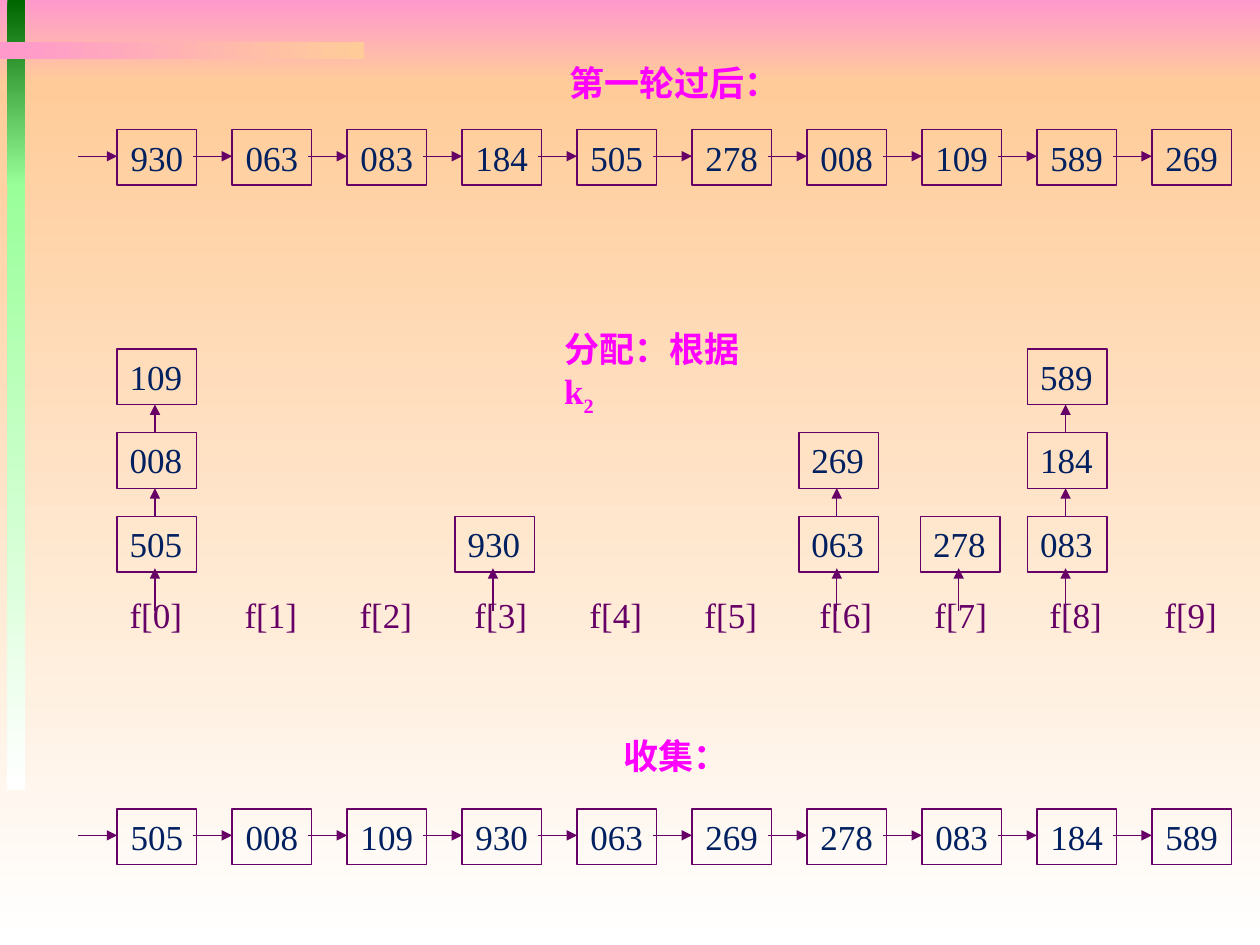
from lxml import etree
from pptx import Presentation
from pptx.dml.color import RGBColor
from pptx.enum.shapes import MSO_CONNECTOR, MSO_SHAPE
from pptx.enum.text import MSO_ANCHOR, PP_ALIGN
from pptx.oxml.ns import qn
from pptx.util import Inches, Pt

RECTANGLE = MSO_SHAPE.RECTANGLE
STRAIGHT = MSO_CONNECTOR.STRAIGHT
TOP, MIDDLE = MSO_ANCHOR.TOP, MSO_ANCHOR.MIDDLE
LEFT, CENTER = PP_ALIGN.LEFT, PP_ALIGN.CENTER

PINK = RGBColor(0xFF, 0x99, 0xCC)
PEACH = RGBColor(0xFF, 0xCC, 0x99)
WHITE = RGBColor(0xFF, 0xFF, 0xFF)
DARK_GREEN = RGBColor(0x00, 0x66, 0x00)
LIGHT_GREEN = RGBColor(0x99, 0xFF, 0x99)
PURPLE = RGBColor(0x66, 0x00, 0x66)
NAVY = RGBColor(0x00, 0x20, 0x60)
MAGENTA = RGBColor(0xFF, 0x00, 0xFF)

# Grid of ten buckets, in inches
GRID_LEFT, COLUMN_STEP = 0.93, 0.9125
STACK_BASE, LEVEL_STEP = 4.1, 0.665
BOX_WIDTH, BOX_HEIGHT = 0.63, 0.44
ARROW_LENGTH = 0.31
RIGHTWARD, DOWNWARD = 0, 270

FIRST_PASS = ["930", "063", "083", "184", "505", "278", "008", "109", "589", "269"]
COLLECTED = ["505", "008", "109", "930", "063", "269", "278", "083", "184", "589"]
# Column position of each stack, and its numbers from the bottom up
STACKS = [
    (0, ["505", "008", "109"]),
    (2.94, ["930"]),
    (5.93, ["063", "269"]),
    (6.99, ["278"]),
    (7.92, ["083", "184", "589"]),
]


def column_left(column):
    return GRID_LEFT + column * COLUMN_STEP


class RadixSortSlide:
    font_name = "Times New Roman"
    font_size = Pt(20)
    line_width = Pt(0.75)

    def __init__(self, presentation):
        self.slide = presentation.slides.add_slide(presentation.slide_layouts[6])

    def gradient(self, left, top, width, height, colors, angle):
        shape = self.slide.shapes.add_shape(
            RECTANGLE, Inches(left), Inches(top), Inches(width), Inches(height))
        shape.shadow.inherit = False
        shape.line.fill.background()
        shape.fill.gradient()
        shape.fill.gradient_angle = angle
        for stop, color in zip(shape.fill.gradient_stops, colors):
            stop.color.rgb = color

    def style(self, paragraph, color, bold=False, alignment=LEFT):
        paragraph.alignment = alignment
        font = paragraph.font
        font.name, font.size, font.bold = self.font_name, self.font_size, bold
        font.color.rgb = color

    def box(self, left, top, number, anchor=MIDDLE, alignment=CENTER):
        shape = self.slide.shapes.add_shape(
            RECTANGLE, Inches(left), Inches(top), Inches(BOX_WIDTH), Inches(BOX_HEIGHT))
        shape.shadow.inherit = False
        shape.fill.background()
        shape.line.color.rgb = PURPLE
        shape.line.width = self.line_width
        frame = shape.text_frame
        frame.word_wrap = False
        frame.vertical_anchor = anchor
        frame.text = number
        self.style(frame.paragraphs[0], NAVY, alignment=alignment)

    def arrow(self, start_x, start_y, end_x, end_y):
        connector = self.slide.shapes.add_connector(
            STRAIGHT, Inches(start_x), Inches(start_y), Inches(end_x), Inches(end_y))
        connector.line.color.rgb = PURPLE
        connector.line.width = self.line_width
        outline = connector.line._get_or_add_ln()
        etree.SubElement(outline, qn("a:tailEnd"), type="triangle")
        etree.SubElement(connector._element.spPr, qn("a:effectLst"))

    def text(self, left, top, width, words, color, bold=False, wrap=False, subscript=""):
        shape = self.slide.shapes.add_textbox(
            Inches(left), Inches(top), Inches(width), Inches(BOX_HEIGHT))
        frame = shape.text_frame
        frame.word_wrap = wrap
        frame.text = words
        paragraph = frame.paragraphs[0]
        self.style(paragraph, color, bold)
        if subscript:
            run = paragraph.add_run()
            run.text = subscript
            run.font._element.set("baseline", "-25000")

    def chain(self, top, numbers):
        for column, number in enumerate(numbers):
            left = column_left(column)
            self.box(left, top, number)
            arrow_y = top + BOX_HEIGHT / 2 - 0.01
            self.arrow(left - ARROW_LENGTH, arrow_y, left, arrow_y)

    def stack(self, column, numbers):
        left = column_left(column)
        arrow_x = left + 0.3
        for level, number in enumerate(numbers):
            top = STACK_BASE - level * LEVEL_STEP
            bottom = top + BOX_HEIGHT
            self.box(left, top, number, TOP, LEFT)
            if level == 0:
                self.arrow(arrow_x, bottom + 0.31, arrow_x, bottom - 0.03)
            else:
                self.arrow(arrow_x, top + LEVEL_STEP, arrow_x, bottom)


def main():
    presentation = Presentation()
    presentation.slide_width, presentation.slide_height = Inches(10), Inches(7.5)
    slide = RadixSortSlide(presentation)

    # Background and decorative bars
    slide.gradient(0, 0, 10, 0.67, (PINK, PEACH), DOWNWARD)
    slide.gradient(0, 0.67, 10, 6.83, (PEACH, WHITE), DOWNWARD)
    slide.gradient(0.06, 0, 0.14, 1.48, (DARK_GREEN, LIGHT_GREEN), DOWNWARD)
    slide.gradient(0.06, 1.46, 0.14, 4.81, (LIGHT_GREEN, WHITE), DOWNWARD)
    slide.gradient(0, 0.33, 2.89, 0.14, (PINK, PEACH), RIGHTWARD)

    # List after the first pass
    slide.text(4.42, 0.44, 1.9, "第一轮过后：", MAGENTA, bold=True)
    slide.chain(1.03, FIRST_PASS)

    # Distribution into buckets
    slide.text(4.38, 2.55, 1.7, "分配：根据k", MAGENTA, bold=True, wrap=True, subscript="2")
    for column, numbers in STACKS:
        slide.stack(column, numbers)
    for bucket in range(10):
        slide.text(column_left(bucket), 4.66, 0.62, f"f[{bucket}]", PURPLE)

    # Collected list
    slide.text(4.85, 5.78, 1.04, "收集：", MAGENTA, bold=True)
    slide.chain(6.42, COLLECTED)

    presentation.save("out.pptx")


if __name__ == "__main__":
    main()
